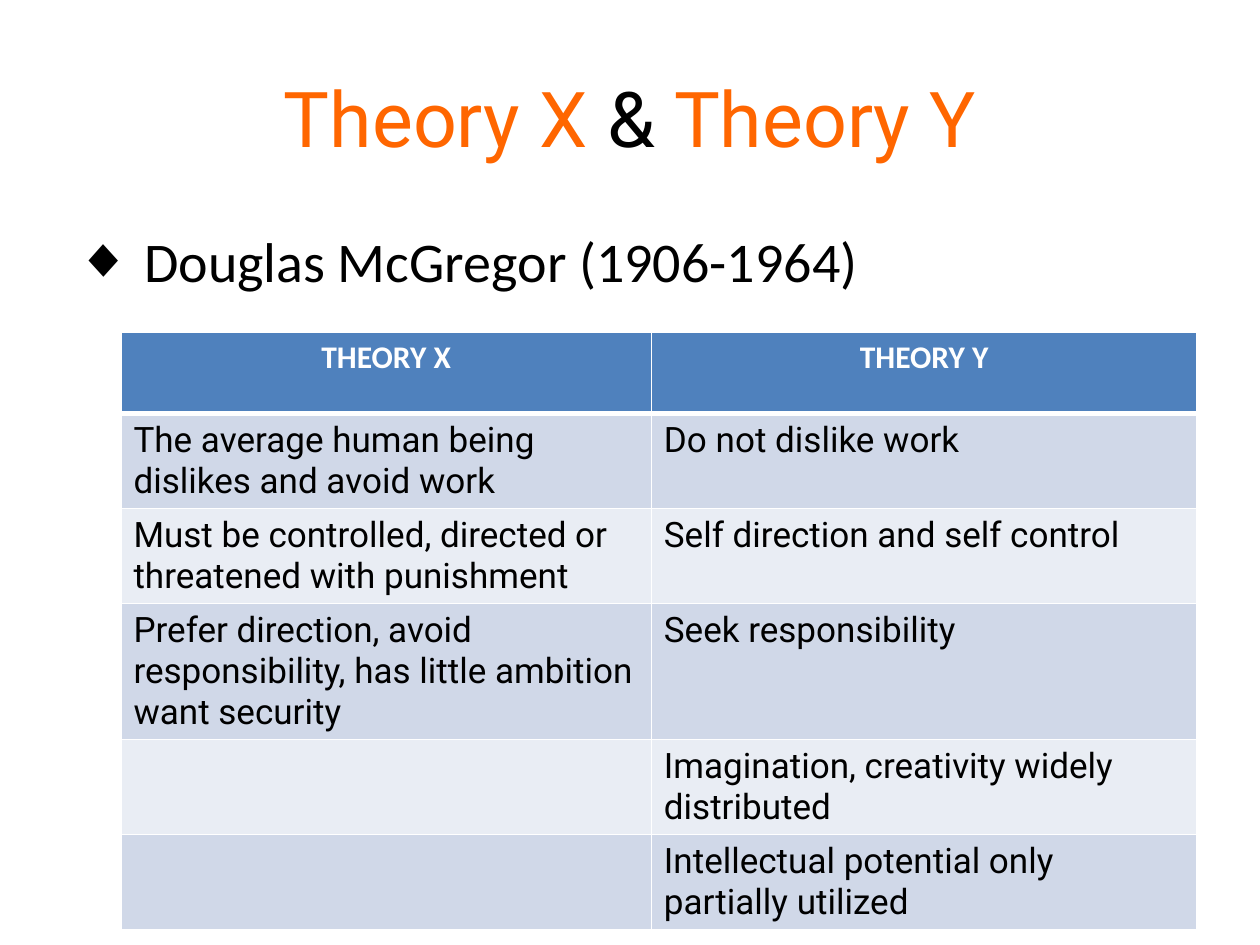
from lxml.etree import SubElement
from pptx import Presentation
from pptx.dml.color import RGBColor as Rgb
from pptx.enum.text import MSO_ANCHOR as Anchor, PP_ALIGN as Align
from pptx.oxml.ns import qn
from pptx.util import Inches, Pt

COLORS = {
    "accent": "FF6600",
    "ink": "000000",
    "white": "FFFFFF",
    "header": "4F81BD",
    "odd": "D0D8E8",
    "even": "E9EDF4",
}
THEORIES = [
    ("THEORY X", "THEORY Y"),
    ("The average human being dislikes and avoid work", "Do not dislike work"),
    ("Must be controlled, directed or threatened with punishment",
     "Self direction and self control"),
    ("Prefer direction, avoid responsibility, has little ambition want security",
     "Seek responsibility"),
    ("", "Imagination, creativity widely distributed"),
    ("", "Intellectual potential only partially utilized"),
]
COLUMN_WIDTHS = (4.21, 4.33)
ROW_HEIGHTS = (0.64, 0.75, 0.75, 1.08, 0.75, 0.75)


class SlideBuilder:
    """Holds the style and the current slide, and adds its elements."""

    def __init__(self, slide):
        self.slide = slide

    def add_text(self, paragraph, text, size, font, color="ink", bold=False):
        run = paragraph.add_run()
        run.text = text
        run.font.size = Pt(size)
        run.font.name = font
        run.font.bold = bold
        run.font.color.rgb = Rgb.from_string(COLORS[color])

    def place(self, placeholder, left, top, width, height):
        placeholder.left, placeholder.top = Inches(left), Inches(top)
        placeholder.width, placeholder.height = Inches(width), Inches(height)
        return placeholder.text_frame

    def title(self, parts):
        frame = self.place(self.slide.shapes.title, 0.5, 0.3, 9, 1.25)
        frame.vertical_anchor = Anchor.MIDDLE
        heading = frame.paragraphs[0]
        heading.alignment = Align.CENTER
        for text, color in parts:
            self.add_text(heading, text, 44, "Roboto", color)

    def bullet(self, text):
        frame = self.place(self.slide.placeholders[1], 0.5, 1.75, 9, 4.95)
        author = frame.paragraphs[0]
        self.add_text(author, text, 32, "Calibri")
        properties = author._p.get_or_add_pPr()
        SubElement(properties, qn("a:buChar"), char="◆")

    def borders(self, cell, bottom):
        properties = cell._tc.get_or_add_tcPr()
        for side, width in zip("LRTB", (1, 1, 1, bottom)):
            line = SubElement(properties, qn(f"a:ln{side}"), w=str(Pt(width)))
            fill = SubElement(line, qn("a:solidFill"))
            SubElement(fill, qn("a:srgbClr"), val=COLORS["white"])

    def cell(self, cell, text, row):
        self.borders(cell, 1 if row else 3)
        band = ("even", "odd")[row % 2] if row else "header"
        cell.fill.solid()
        cell.fill.fore_color.rgb = Rgb.from_string(COLORS[band])
        statement = cell.text_frame.paragraphs[0]
        if not row:
            statement.alignment = Align.CENTER
            self.add_text(statement, text, 18, "Calibri", "white", bold=True)
        elif text:
            self.add_text(statement, text, 20, "Roboto")

    def table(self, rows, left, top, widths, heights):
        table = self.slide.shapes.add_table(
            len(rows), len(widths), Inches(left), Inches(top),
            Inches(sum(widths)), Inches(sum(heights))).table
        for column, width in zip(table.columns, widths):
            column.width = Inches(width)
        for index, (texts, height) in enumerate(zip(rows, heights)):
            table.rows[index].height = Inches(height)
            for column, text in enumerate(texts):
                self.cell(table.cell(index, column), text, index)


def main():
    deck = Presentation()
    deck.slide_width, deck.slide_height = Inches(10), Inches(7.5)
    builder = SlideBuilder(deck.slides.add_slide(deck.slide_layouts[1]))
    builder.title([("Theory X", "accent"), (" & ", "ink"), ("Theory Y", "accent")])
    builder.bullet(" Douglas McGregor (1906-1964)")
    builder.table(THEORIES, 0.96, 2.64, COLUMN_WIDTHS, ROW_HEIGHTS)
    deck.save("out.pptx")


if __name__ == "__main__":
    main()
